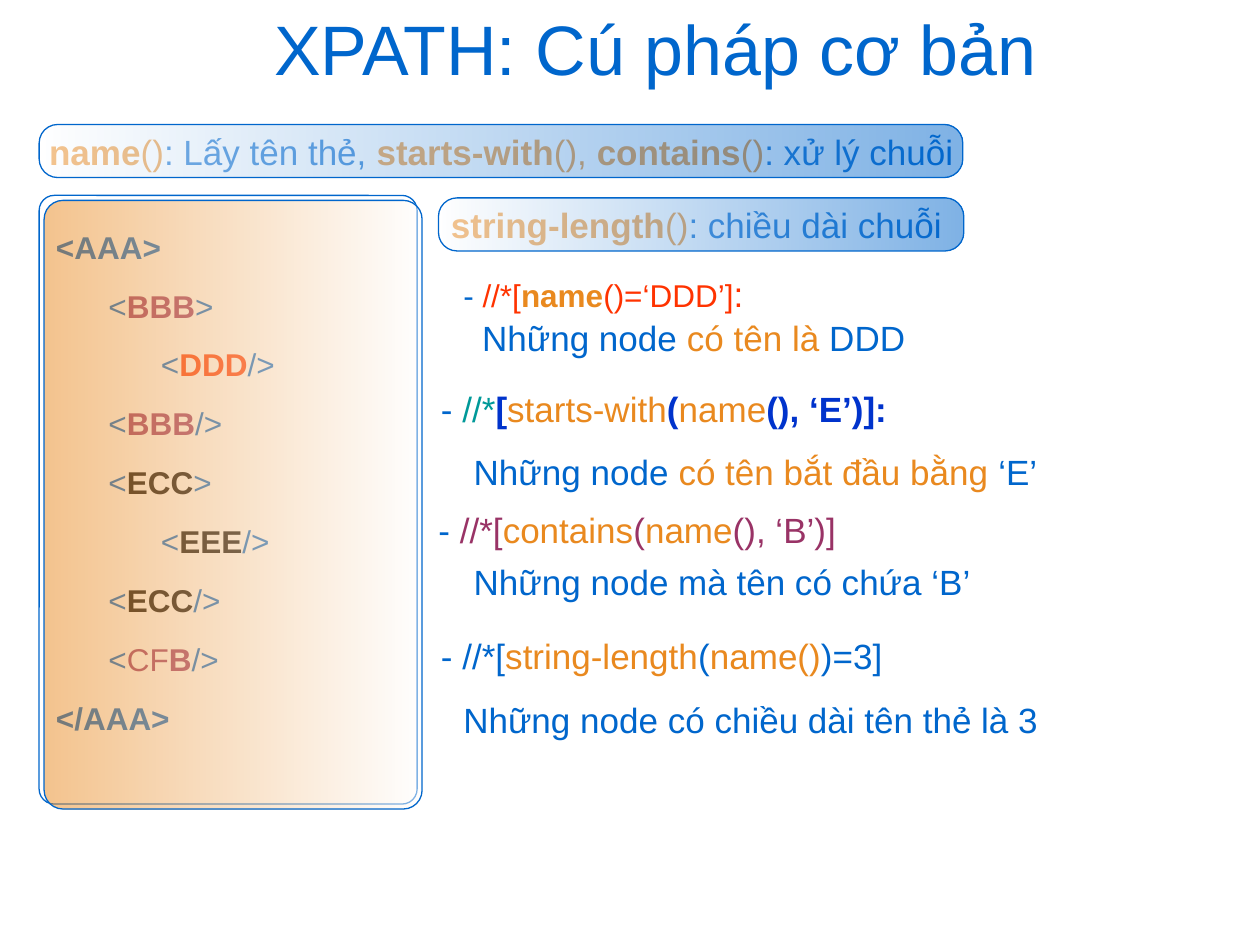
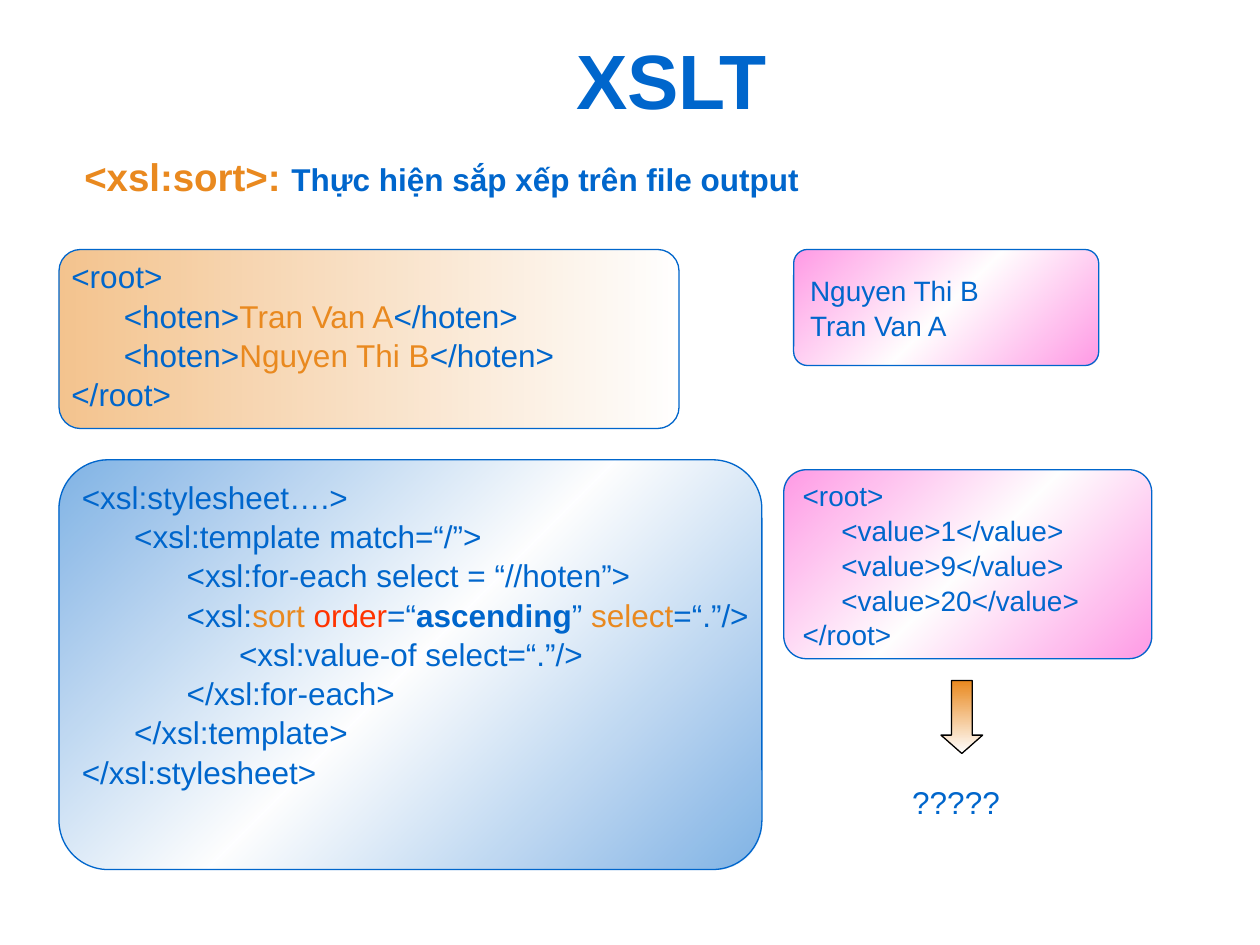
"""Build two slides on XPath functions and XSLT sorting."""
from pptx import Presentation
from pptx.dml.color import RGBColor
from pptx.enum.shapes import MSO_SHAPE
from pptx.enum.text import MSO_ANCHOR, MSO_AUTO_SIZE, PP_ALIGN
from pptx.oxml import parse_xml
from pptx.oxml.ns import nsdecls, qn
from pptx.util import Cm, Pt

BLUE = RGBColor(0x00, 0x66, 0xCC)
NAVY = RGBColor(0x00, 0x33, 0xCC)
TEAL = RGBColor(0x00, 0x99, 0x99)
GOLD = RGBColor(0xE9, 0x89, 0x1F)
RED = RGBColor(0xFF, 0x33, 0x00)
PLUM = RGBColor(0x99, 0x33, 0x66)
PINK = RGBColor(0xFF, 0x33, 0xCC)
BLACK = RGBColor(0x00, 0x00, 0x00)
WHITE = RGBColor(0xFF, 0xFF, 0xFF)
FONT = "Arial"
ROUND = MSO_SHAPE.ROUNDED_RECTANGLE

# A line is a list of runs: plain text is blue, else (text, colour[, bold]).
TREE = [
    [("<AAA>", BLUE, True)],
    ["      <", ("BBB", PLUM, True), ">"],
    ["            <", ("DDD", RED, True), "/>"],
    ["      <", ("BBB", PLUM, True), "/>"],
    ["      <", ("ECC", BLACK, True), ">"],
    ["            <", ("EEE", BLACK, True), "/>"],
    ["      <", ("ECC", BLACK, True), "/>"],
    ["      <", ("CF", PLUM), ("B", PLUM, True), "/>"],
    [("</AAA>", BLUE, True)],
]
BARS = [
    ((0.74, 2.46, 21.84, 1.12), (0.79, 2.51, 18.62, 1.07),
     [("name", GOLD, True), ("()", GOLD), ": Lấy tên thẻ, ",
      ("starts-with", GOLD, True), ("(), ", GOLD),
      ("contains", GOLD, True), ("()", GOLD), ": xử lý chuỗi"]),
    ((8.84, 3.94, 11.28, 1.12), (8.84, 3.99, 10.59, 1.07),
     [("string-length", GOLD, True), ("()", GOLD), ": chiều dài chuỗi"]),
]
NOTES = [
    (9.09, 5.33, 14.6, 18,
     ["- ", ("//*[", RED), ("name", GOLD, True), ("()=‘DDD’]", RED),
      (":", RED, False, 20)]),
    (9.47, 6.22, 13.34, 20,
     ["Những node ", ("có tên là", GOLD), " DDD"]),
    (8.64, 7.65, 14.4, 20,
     ["- ", ("//*", TEAL), ("[", NAVY, True), ("starts-with", GOLD),
      ("(", NAVY, True), ("name", GOLD), ("(), ‘E’)]:", NAVY, True)]),
    (9.3, 8.92, 12.9, 20,
     ["Những node ", ("có tên bắt đầu bằng", GOLD), " ‘E’"]),
    (8.59, 10.08, 14.4, 20,
     ["- ", ("//*[", PLUM), ("contains", GOLD), ("(", PLUM),
      ("name", GOLD), ("(), ‘B’)]", PLUM)]),
    (9.3, 11.13, 12.9, 20, ["Những node mà tên có chứa ‘B’"]),
    (8.64, 12.62, 14.4, 20,
     ["- //*[", ("string-length", GOLD), "(", ("name()", GOLD), ")=3]"]),
    (9.09, 13.92, 12.9, 20, ["Những node có chiều dài tên thẻ là 3"]),
]
INTRO = [[("<xsl:sort>: ", GOLD, True, 22),
          ("Thực hiện sắp xếp trên file output", BLUE, True)]]
NAMES = [
    ["<root>"],
    ["      <hoten>", ("Tran Van A", GOLD), "</hoten>"],
    ["      <hoten>", ("Nguyen Thi B", GOLD), "</hoten>"],
    ["</root>"],
]
SHEET = [
    ["<xsl:stylesheet….>"],
    ["      <xsl:template match=“/”>"],
    ["            <xsl:for-each select = “//hoten”>"],
    ["            <xsl:", ("sort ", GOLD), ("order", RED), "=“",
     ("ascending", BLUE, True), "” ", ("select", GOLD), "=“.”/>"],
    ["                  <xsl:value-of select=“.”/>"],
    ["            </xsl:for-each>"],
    ["      </xsl:template>"],
    ["</xsl:stylesheet>"],
]
SORTED = [["Nguyen Thi B"], ["Tran Van A"]]
VALUES = [["<root>"],
          *[[f"     <value>{n}</value>"] for n in (1, 9, 20)],
          ["</root>"]]


def put(obj, **vals):
    """Set each named attribute on an object."""
    for key, val in vals.items():
        setattr(obj, key, val)


def write(shape, lines, size, gap=0, align=PP_ALIGN.LEFT, pitch=1.04, **frame):
    """Fill a shape with styled lines."""
    text = shape.text_frame
    put(text, word_wrap=True, margin_left=Cm(0.25), margin_right=Cm(0.25),
        margin_top=Cm(0.13), margin_bottom=Cm(0.13))
    put(text, **frame)
    for i, line in enumerate(lines):
        para = text.add_paragraph() if i else text.paragraphs[0]
        put(para, alignment=align, line_spacing=pitch,
            space_before=Pt(gap if i else 0))
        for part in line:
            part = (part,) if isinstance(part, str) else part
            word, hue, bold, points = part + (None, BLUE, False, size)[len(part):]
            run = para.add_run()
            run.text = word
            put(run.font, name=FONT, size=Pt(points), bold=bold)
            run.font.color.rgb = hue


def label(slide, box, lines, size):
    """Add a text box."""
    shape = slide.shapes.add_textbox(*map(Cm, box))
    write(shape, lines, size, auto_size=MSO_AUTO_SIZE.SHAPE_TO_FIT_TEXT)


def panel(slide, box, hues=(), angle=0, adj=(0.12,), kind=ROUND, alpha=50,
          edge=BLUE):
    """Add an outlined shape with an even colour gradient."""
    shape = slide.shapes.add_shape(kind, *map(Cm, box))
    shape.shadow.inherit = False
    for i, val in enumerate(adj):
        shape.adjustments[i] = val
    shape.line.color.rgb = edge
    shape.line.width = Pt(0.75)
    shape.fill.background()
    if hues:
        step = 100000 // (len(hues) - 1)
        stops = "".join(
            f'<a:gs pos="{i * step}"><a:srgbClr val="{hue}">'
            f'<a:alpha val="{alpha * 1000}"/></a:srgbClr></a:gs>'
            for i, hue in enumerate(hues))
        grad = parse_xml(
            f'<a:gradFill {nsdecls("a")} rotWithShape="1"><a:gsLst>{stops}'
            f'</a:gsLst><a:lin ang="{angle * 60000}" scaled="0"/></a:gradFill>')
        props = shape._element.spPr
        props.replace(props.find(qn("a:noFill")), grad)
    return shape


def start(deck, text, box, size, bold=False):
    """Add a slide with its title."""
    slide = deck.slides.add_slide(deck.slide_layouts[5])
    title = slide.shapes.title
    put(title, **dict(zip(("left", "top", "width", "height"), map(Cm, box))))
    write(title, [[(text, BLUE, bold)]], size, align=PP_ALIGN.CENTER, pitch=1.0,
          vertical_anchor=MSO_ANCHOR.MIDDLE, auto_size=MSO_AUTO_SIZE.NONE)
    return slide


def xpath(deck):
    """Build the XPath slide."""
    slide = start(deck, "XPATH: Cú pháp cơ bản", (1.02, 0, 24.38, 1.9), 40)
    back = panel(slide, (0.79, 3.94, 7.62, 12.27), adj=(0.04,))
    write(back, TREE, 18, gap=11.2, vertical_anchor=MSO_ANCHOR.MIDDLE,
          margin_bottom=Cm(0.87))
    panel(slide, (0.89, 4.04, 7.62, 12.27), (GOLD, WHITE), adj=(0.05,))
    for area, bar, line in BARS:
        label(slide, area, [line], 20)
        panel(slide, bar, (WHITE, BLUE), adj=(0.35,))
    for left, top, width, size, line in NOTES:
        label(slide, (left, top, width, 1.12), [line], size)


def xslt(deck):
    """Build the XSLT slide."""
    slide = start(deck, "XSLT", (2.11, 0, 22.86, 3.18), 44, True)
    label(slide, (1.45, 2.92, 16.46, 1.19), INTRO, 18)
    panel(slide, (1.19, 5.03, 12.5, 3.61), (GOLD, WHITE))
    label(slide, (1.19, 5.03, 14.4, 3.3), NAMES, 18)
    panel(slide, (1.19, 9.27, 14.17, 8.26), (BLUE, WHITE, BLUE), 45)
    label(slide, (1.4, 9.47, 14.81, 6.35), SHEET, 18)
    for box, lines in (((16, 5.03, 6.15, 2.34), SORTED),
                       ((15.8, 9.47, 7.42, 3.81), VALUES)):
        card = panel(slide, box, (PINK, WHITE, PINK), 45)
        write(card, lines, 16, vertical_anchor=MSO_ANCHOR.MIDDLE)
    panel(slide, (18.97, 13.72, 0.84, 1.47), (GOLD, WHITE), 90, (0.5, 0.44),
          MSO_SHAPE.DOWN_ARROW, 100, BLACK)
    label(slide, (18.14, 15.62, 3.18, 1.02), [["?????"]], 18)


def main():
    """Save the deck."""
    deck = Presentation()
    put(deck, slide_width=Cm(25.4), slide_height=Cm(19.05))
    xpath(deck)
    xslt(deck)
    deck.save("out.pptx")


if __name__ == "__main__":
    main()
